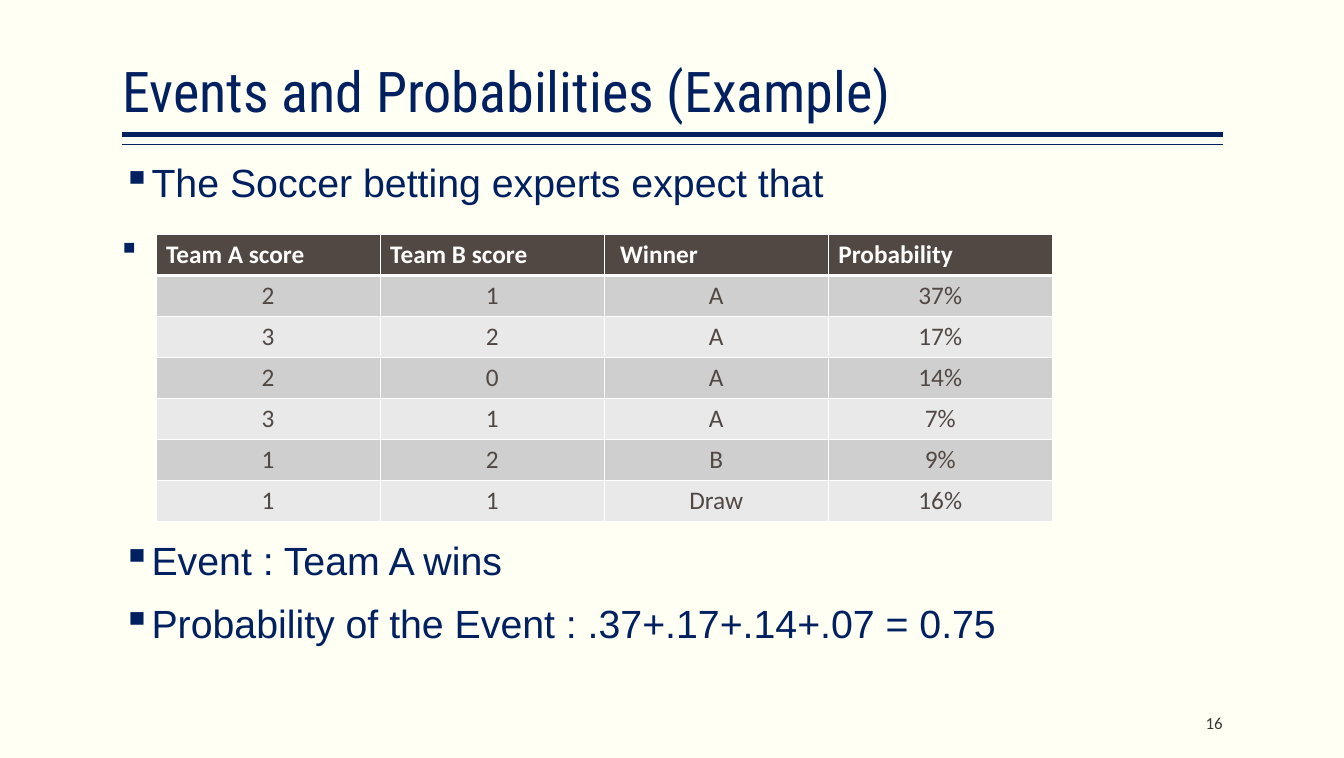
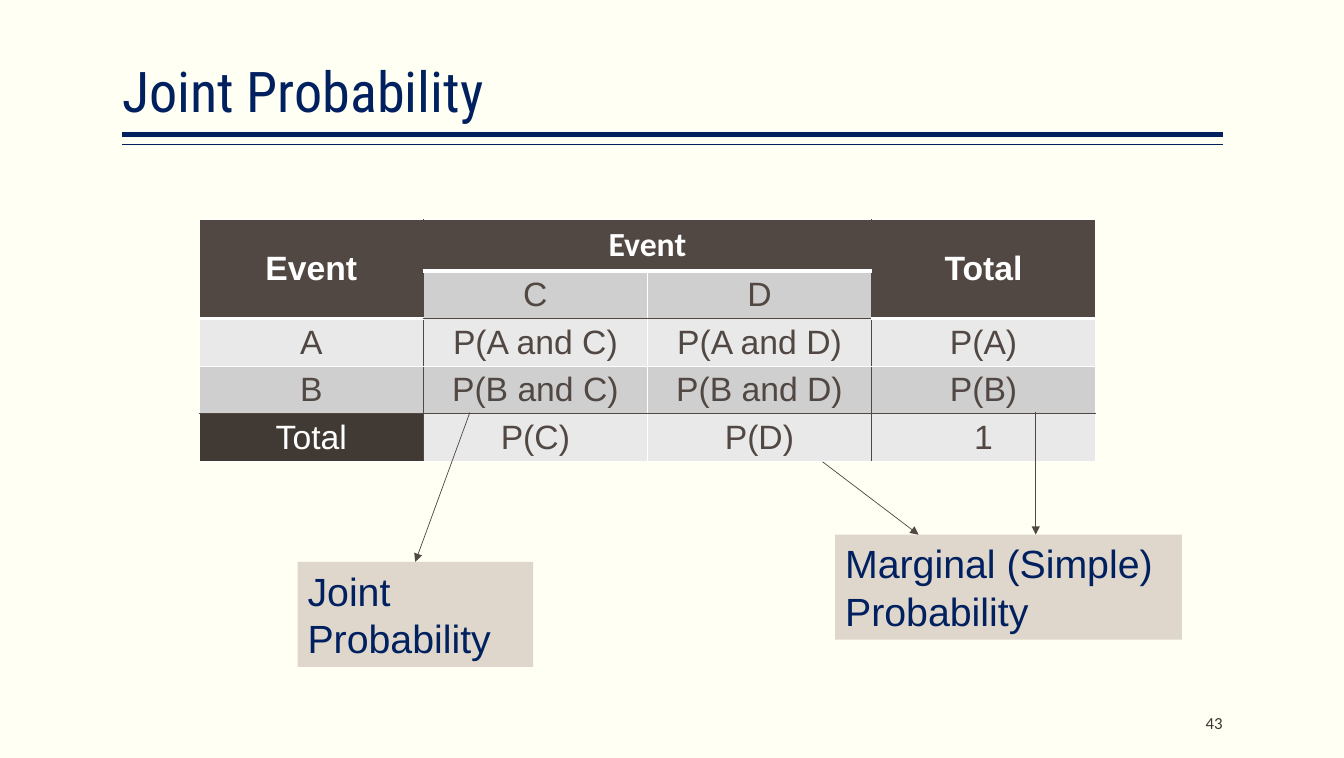
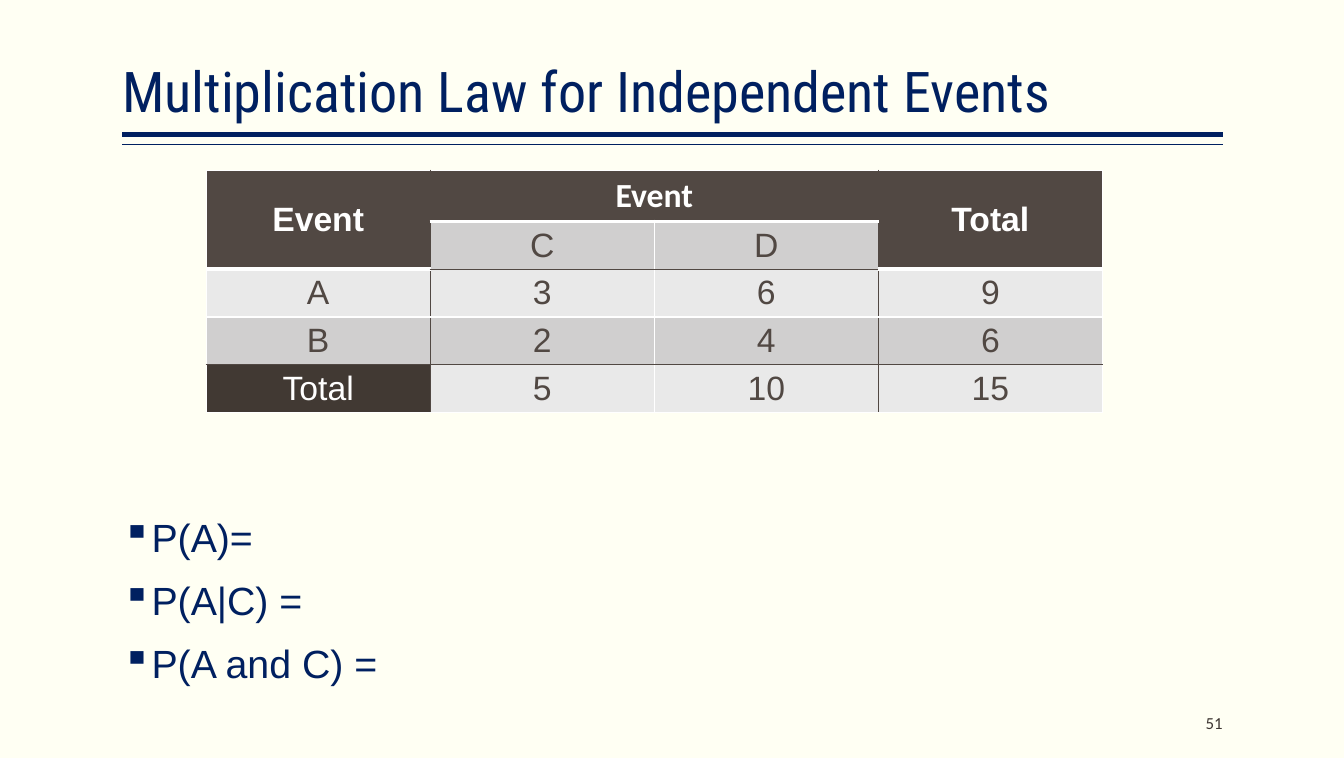
from lxml import etree
from pptx import Presentation
from pptx.dml.color import RGBColor
from pptx.enum.shapes import MSO_CONNECTOR, MSO_SHAPE
from pptx.enum.text import MSO_ANCHOR, MSO_AUTO_SIZE, PP_ALIGN
from pptx.oxml.ns import qn
from pptx.util import Pt

STRAIGHT = MSO_CONNECTOR.STRAIGHT
RECTANGLE = MSO_SHAPE.RECTANGLE
TOP, MIDDLE, BOTTOM = MSO_ANCHOR.TOP, MSO_ANCHOR.MIDDLE, MSO_ANCHOR.BOTTOM
LEFT, CENTER, RIGHT = PP_ALIGN.LEFT, PP_ALIGN.CENTER, PP_ALIGN.RIGHT
NO_AUTOFIT = MSO_AUTO_SIZE.NONE

CREAM, NAVY, WHITE, BROWN = "FFFFF3", "002060", "FFFFFF", "514843"
DARK_BROWN, NUMBER_GRAY, SAND = "413933", "3D3632", "DFD7CB"
BANDS = ("E9E9E9", "D0CFCF")
TITLE_FONT, BODY_FONT, TABLE_FONT = "Roboto Condensed", "Arial", "Calibri"
BULLET = "▪"
CONTENT_LEFT, CONTENT_RIGHT, CONTENT_WIDTH = 87.12, 871.2, 784.08
COLUMN_WIDTH, ROW_HEIGHT = 159.66, 29.2

THIN_LINE, THICK_LINE, DARK_LINE = (WHITE, 1), (WHITE, 3), (BROWN, 1)
SCORE_LINES = {("across", 1, column): THICK_LINE for column in range(4)}
EVENT_LINES = {
    **SCORE_LINES,
    **{("across", 2, column): THICK_LINE for column in (0, 3)},
    **{("across", 2, column): DARK_LINE for column in (1, 2)},
    **{("across", 4, column): DARK_LINE for column in range(4)},
    **{("down", row, edge): DARK_LINE for row in range(5) for edge in (1, 3)},
    ("down", 0, 2): DARK_LINE,
}

SCORES = [
    ["Team A score", "Team B score", "Winner", "Probability"],
    ["2", "1", "A", "37%"],
    ["3", "2", "A", "17%"],
    ["2", "0", "A", "14%"],
    ["3", "1", "A", "7%"],
    ["1", "2", "B", "9%"],
    ["1", "1", "Draw", "16%"],
]
JOINT_VALUES = [
    ["P(A and C)", "P(A and D)", "P(A)"],
    ["P(B and C)", "P(B and D)", "P(B)"],
    ["P(C)", "P(D)", "1"],
]
COUNTS = [["3", "6", "9"], ["2", "4", "6"], ["5", "10", "15"]]


def rgb(value):
    """Turn a hex string into a colour."""
    return RGBColor.from_string(value)


def write(para, text, font=BODY_FONT, size=28, color=NAVY, bold=False,
          align=LEFT, line_spacing=None, before=0):
    """Add formatted text to a paragraph."""
    para.alignment = align
    para.space_before = Pt(before)
    if line_spacing:
        para.line_spacing = line_spacing
    span = para.add_run()
    span.text = text
    span.font.name = font
    span.font.size = Pt(size)
    span.font.bold = bold
    span.font.color.rgb = rgb(color)


def set_frame(box, anchor=TOP, side=0):
    """Set the insets and wrapping of a box and return its text frame."""
    frame = box.text_frame
    frame.word_wrap = True
    frame.auto_size = NO_AUTOFIT
    frame.vertical_anchor = anchor
    frame.margin_left = frame.margin_right = Pt(side)
    frame.margin_top = frame.margin_bottom = Pt(3.6)
    return frame


def add_box(slide, left, top, width, height, **frame_format):
    """Add a text box and return its text frame."""
    box = slide.shapes.add_textbox(Pt(left), Pt(top), Pt(width), Pt(height))
    return set_frame(box, **frame_format)


def add_line(slide, start, end, color, width, arrow=False):
    """Draw a straight line, with an arrowhead at its end if wanted."""
    line = slide.shapes.add_connector(
        STRAIGHT, *(Pt(length) for length in (*start, *end)))
    line.line.color.rgb = rgb(color)
    line.line.width = Pt(width)
    if arrow:
        etree.SubElement(line.line._get_or_add_ln(), qn("a:tailEnd"), type="triangle")
    etree.SubElement(line.element.spPr, qn("a:effectLst"))


def add_bullets(slide, top, height, lines):
    """Add a list of bulleted lines; a bare bullet stands alone."""
    frame = add_box(slide, CONTENT_LEFT, top, CONTENT_WIDTH, height)
    for index, text in enumerate(lines):
        para = frame.add_paragraph() if index else frame.paragraphs[0]
        if text != BULLET:
            properties = para._p.get_or_add_pPr()
            properties.set("marL", str(Pt(18)))
            properties.set("indent", str(Pt(-18)))
            etree.SubElement(properties, qn("a:buChar"), char=BULLET)
        write(para, text, line_spacing=0.8, before=17.9 if index else 0)


def add_label(slide, left, top, width, text):
    """Add a filled label."""
    label = slide.shapes.add_shape(RECTANGLE, Pt(left), Pt(top), Pt(width), Pt(74.9))
    label.shadow.inherit = False
    label.fill.solid()
    label.fill.fore_color.rgb = rgb(SAND)
    label.line.fill.background()
    write(set_frame(label, side=7.2).paragraphs[0], text)


def set_borders(cell, row, column, lines):
    """Draw the four edges of a cell by the lines of its grid."""
    edges = {
        "a:lnL": ("down", row, column),
        "a:lnR": ("down", row, column + 1),
        "a:lnT": ("across", row, column),
        "a:lnB": ("across", row + 1, column),
    }
    properties = cell._tc.get_or_add_tcPr()
    for tag, edge in edges.items():
        color, width = lines.get(edge, THIN_LINE)
        border = etree.SubElement(properties, qn(tag), w=str(Pt(width)))
        fill = etree.SubElement(border, qn("a:solidFill"))
        etree.SubElement(fill, qn("a:srgbClr"), val=color)


def add_grid(slide, left, top, rows, lines, fills, **text_format):
    """Add a banded table; fills overrides the band of single cells."""
    table = slide.shapes.add_table(
        len(rows), len(rows[0]), Pt(left), Pt(top),
        Pt(COLUMN_WIDTH * len(rows[0])), Pt(ROW_HEIGHT * len(rows))).table
    table.first_row = table.horz_banding = False
    for column in table.columns:
        column.width = Pt(COLUMN_WIDTH)
    for row, texts in enumerate(rows):
        table.rows[row].height = Pt(ROW_HEIGHT)
        for column, text in enumerate(texts):
            cell = table.cell(row, column)
            set_borders(cell, row, column, lines)
            fill = BROWN if row == 0 else fills.get((row, column), BANDS[row % 2])
            cell.fill.solid()
            cell.fill.fore_color.rgb = rgb(fill)
            cell.vertical_anchor = MIDDLE
            if text:
                style = {"align": CENTER, "bold": row == 0, **text_format}
                if row == 0:
                    style["align"] = text_format.get("header_align", CENTER)
                    style["font"] = TABLE_FONT if column == 1 else style["font"]
                style.pop("header_align", None)
                style["color"] = BROWN if fill in BANDS else WHITE
                write(cell.text_frame.paragraphs[0], text, **style)
    return table


def add_event_table(slide, left, top, values):
    """Add the two-way table of events A and B against C and D."""
    names = ("A", "B", "Total")
    rows = [["Event", "Event", "", "Total"], ["", "C", "D", ""]]
    rows += [[name, *line] for name, line in zip(names, values)]
    fills = {(1, 0): BROWN, (1, 3): BROWN, (4, 0): DARK_BROWN}
    table = add_grid(slide, left, top, rows, EVENT_LINES, fills,
                     font=BODY_FONT, size=24)
    for first, last in (((0, 0), (1, 0)), ((0, 1), (0, 2)), ((0, 3), (1, 3))):
        table.cell(*first).merge(table.cell(*last))


def add_page(deck, title, number):
    """Add a slide with its title, double rule and page number."""
    slide = deck.slides.add_slide(deck.slide_layouts[5])
    heading = slide.shapes.title
    heading.left, heading.top = Pt(CONTENT_LEFT), Pt(5.76)
    heading.width, heading.height = Pt(CONTENT_WIDTH), Pt(86.4)
    write(set_frame(heading, anchor=BOTTOM).paragraphs[0], title,
          font=TITLE_FONT, size=40, line_spacing=0.9)
    for height, width in ((95.76, 3), (102.96, 1)):
        add_line(slide, (CONTENT_LEFT, height), (CONTENT_RIGHT, height), NAVY, width)
    frame = add_box(slide, CONTENT_RIGHT - 144, 500.4, 144, 28.8, anchor=MIDDLE)
    write(frame.paragraphs[0], str(number), font=TABLE_FONT, size=12,
          color=NUMBER_GRAY, align=RIGHT)
    return slide


def build_example(deck):
    """Build the soccer example."""
    slide = add_page(deck, "Events and Probabilities (Example)", 16)
    add_bullets(slide, 115.92, 80, ["The Soccer betting experts expect that", BULLET])
    add_bullets(slide, 385.2, 80, [
        "Event : Team A wins",
        "Probability of the Event : .37+.17+.14+.07 = 0.75",
    ])
    table = add_grid(slide, 111.2, 167.04, SCORES, SCORE_LINES, {},
                     font=TABLE_FONT, size=18, header_align=LEFT)
    table.cell(0, 2).margin_left = Pt(11.3)


def build_joint(deck):
    """Build the joint probability table with its labels."""
    slide = add_page(deck, "Joint Probability", 43)
    add_event_table(slide, 142, 156.4, JOINT_VALUES)
    add_label(slide, 212.1, 400.3, 167.8, "Joint Probability")
    add_label(slide, 595.1, 380.9, 247, "Marginal (Simple) Probability")
    for start, end in (((334.8, 293.8), (295.9, 400.3)),
                       ((586.1, 329), (654.5, 380.9)),
                       ((738, 293.8), (738, 380.9))):
        add_line(slide, start, end, BROWN, 0.5, arrow=True)


def build_multiplication(deck):
    """Build the multiplication law exercise."""
    slide = add_page(deck, "Multiplication Law for Independent Events", 51)
    add_bullets(slide, 368.6, 131.8, ["P(A)=", "P(A|C) =", "P(A and C) ="])
    add_event_table(slide, 146.9, 121.3, COUNTS)


def main():
    """Build and save the deck."""
    deck = Presentation()
    deck.slide_width, deck.slide_height = Pt(957.6), Pt(540)
    background = deck.slide_master.background.fill
    background.solid()
    background.fore_color.rgb = rgb(CREAM)
    build_example(deck)
    build_joint(deck)
    build_multiplication(deck)
    deck.save("out.pptx")


if __name__ == "__main__":
    main()
